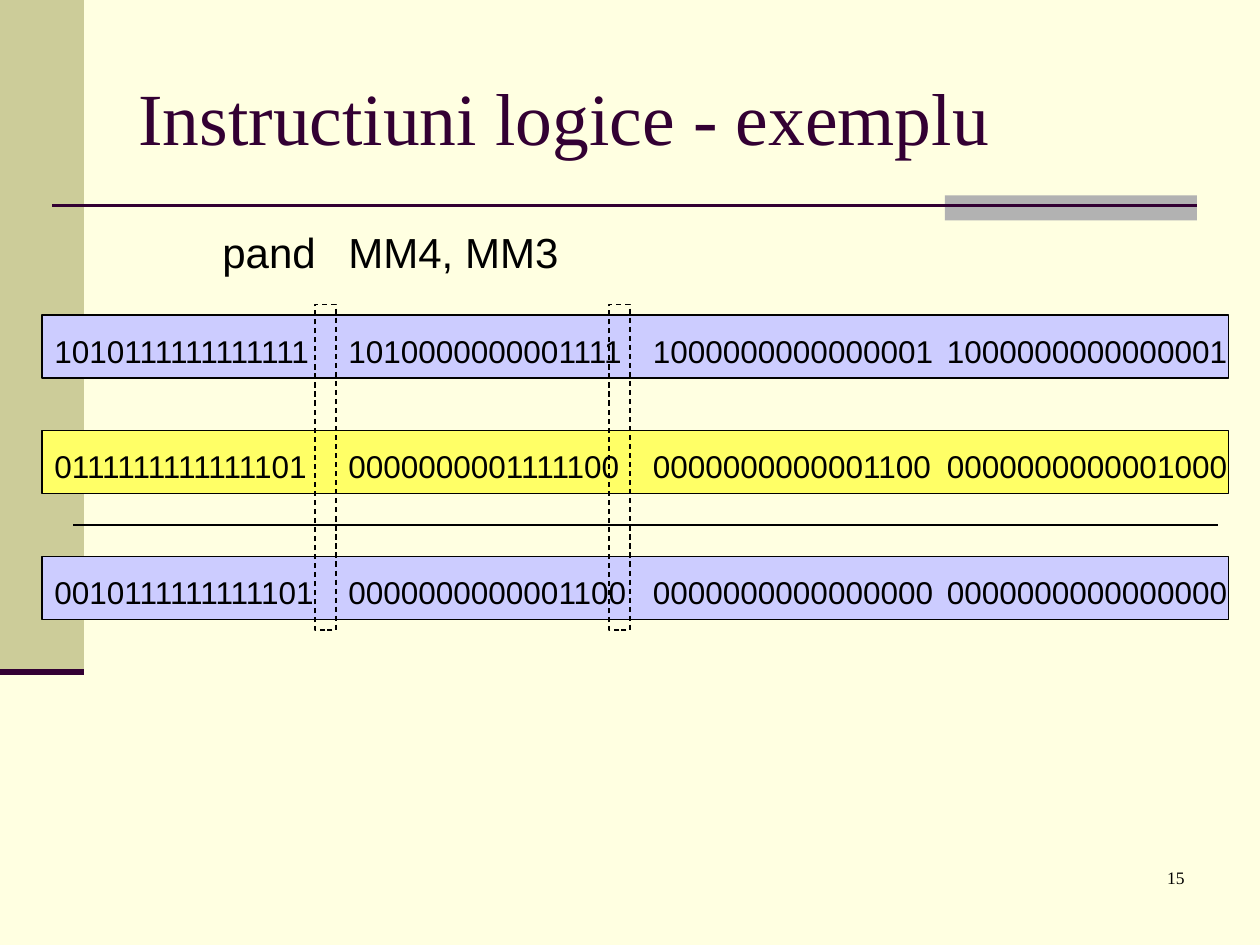
from dataclasses import dataclass
from typing import Optional

from pptx import Presentation
from pptx.dml.color import RGBColor
from pptx.enum.dml import MSO_LINE
from pptx.enum.shapes import MSO_CONNECTOR, MSO_SHAPE
from pptx.enum.text import MSO_ANCHOR, MSO_AUTO_SIZE, PP_ALIGN
from pptx.oxml.ns import qn
from pptx.util import Inches, Pt

COLUMNS_PER_INCH = 12
CREAM, OLIVE, GREY, PLUM, BLACK = "FFFFE1", "CCCC99", "B2B2B2", "330033", "000000"
LILAC, YELLOW = "CCCCFF", "FFFF66"
WORD_COLUMNS = (4, 32, 61, 89)


@dataclass(frozen=True)
class Area:
    column: float
    row: float
    columns: float
    rows: float


@dataclass(frozen=True)
class Block:
    area: Area
    fill: Optional[str] = None
    outline: Optional[str] = None
    dash: Optional[MSO_LINE] = None


@dataclass(frozen=True)
class Rule:
    start: tuple
    end: tuple
    color: str
    weight: float


@dataclass(frozen=True)
class Label:
    text: str
    area: Area
    size: float
    font: str = "Arial"
    color: str = BLACK
    space_before: float = 0
    alignment: PP_ALIGN = PP_ALIGN.LEFT
    anchor: MSO_ANCHOR = MSO_ANCHOR.TOP
    auto_size: MSO_AUTO_SIZE = MSO_AUTO_SIZE.NONE


@dataclass(frozen=True)
class Register:
    row: float
    fill: str
    words: tuple


REGISTERS = (
    Register(30, LILAC, ("1010111111111111", "1010000000001111",
                         "1000000000000001", "1000000000000001")),
    Register(41, YELLOW, ("0111111111111101", "0000000001111100",
                          "0000000000001100", "0000000000001000")),
    Register(53, LILAC, ("0010111111111101", "0000000000001100",
                         "0000000000000000", "0000000000000000")),
)
FRAME = (
    Block(Area(0, 0, 8, 64), OLIVE),
    Block(Area(90, 18.6, 24, 2.4), GREY),
)
FRAME_RULES = (
    Rule((5, 19.6), (114, 19.6), PLUM, 1.5),
    Rule((0, 64), (8, 64), PLUM, 3.5),
)
TITLE = Label("Instructiuni logice - exemplu", Area(12, 3.6, 102, 15), 42,
              "Times New Roman", PLUM, anchor=MSO_ANCHOR.MIDDLE)
INSTRUCTION = Label("pand\tMM4, MM3", Area(20, 21, 50, 6), 24, space_before=15,
                    auto_size=MSO_AUTO_SIZE.SHAPE_TO_FIT_TEXT)
RESULT_RULE = Rule((7, 50), (116, 50), BLACK, 0.75)
WORD_GAPS = tuple(Block(Area(column, 29, 2, 31), None, BLACK, MSO_LINE.DASH)
                  for column in (58, 30))
PAGE_NUMBER = Label("15", Area(89, 82, 25, 6), 10, "Times New Roman",
                    alignment=PP_ALIGN.RIGHT)


def grid(cells: float) -> int:
    """Turn grid cells into a slide length."""
    return Inches(cells / COLUMNS_PER_INCH)


def place(area: Area) -> tuple:
    """Return left, top, width and height of a grid area."""
    return tuple(map(grid, (area.column, area.row, area.columns, area.rows)))


def paint(color_format, color: str) -> None:
    """Apply a hex colour."""
    color_format.rgb = RGBColor.from_string(color)


def assign(target, values: dict) -> None:
    """Set attributes from format values."""
    for name, value in values.items():
        setattr(target, name, value)


def draw_block(slide, block: Block) -> None:
    """Draw a rectangle with optional fill and outline."""
    rectangle = slide.shapes.add_shape(MSO_SHAPE.RECTANGLE, *place(block.area))
    rectangle.shadow.inherit = False
    if block.fill:
        rectangle.fill.solid()
        paint(rectangle.fill.fore_color, block.fill)
    else:
        rectangle.fill.background()
    if block.outline:
        paint(rectangle.line.color, block.outline)
        assign(rectangle.line, {"width": Pt(0.75), "dash_style": block.dash})
    else:
        rectangle.line.fill.background()


def draw_rule(slide, rule: Rule) -> None:
    """Draw a straight line without shadow."""
    connector = slide.shapes.add_connector(
        MSO_CONNECTOR.STRAIGHT, *map(grid, rule.start + rule.end))
    paint(connector.line.color, rule.color)
    connector.line.width = Pt(rule.weight)
    properties = connector._element.spPr
    properties.append(properties.makeelement(qn("a:effectLst"), {}))


def draw_label(slide, label: Label) -> None:
    """Draw one line of text."""
    frame = slide.shapes.add_textbox(*place(label.area)).text_frame
    assign(frame, {"word_wrap": True, "vertical_anchor": label.anchor,
                   "auto_size": label.auto_size})
    paragraph = frame.paragraphs[0]
    assign(paragraph, {"alignment": label.alignment,
                       "space_before": Pt(label.space_before)})
    run = paragraph.add_run()
    run.text = label.text
    assign(run.font, {"name": label.font, "size": Pt(label.size)})
    paint(run.font.color, label.color)


def draw_register(slide, register: Register) -> None:
    """Draw a register bar with its four words."""
    draw_block(slide, Block(Area(4, register.row, 113, 6), register.fill, BLACK))
    for column, word in zip(WORD_COLUMNS, register.words):
        draw_label(slide, Label(word, Area(column, register.row + 1, 31, 4.8), 18,
                                space_before=11.2,
                                auto_size=MSO_AUTO_SIZE.SHAPE_TO_FIT_TEXT))


def main() -> None:
    """Build and save the slide."""
    presentation = Presentation()
    assign(presentation, {"slide_width": Inches(10), "slide_height": Inches(7.5)})
    slide = presentation.slides.add_slide(presentation.slide_layouts[6])
    slide.background.fill.solid()
    paint(slide.background.fill.fore_color, CREAM)
    for block in FRAME:
        draw_block(slide, block)
    for rule in FRAME_RULES:
        draw_rule(slide, rule)
    draw_label(slide, TITLE)
    draw_label(slide, INSTRUCTION)
    for register in REGISTERS:
        draw_register(slide, register)
    draw_rule(slide, RESULT_RULE)
    for gap in WORD_GAPS:
        draw_block(slide, gap)
    draw_label(slide, PAGE_NUMBER)
    presentation.save("out.pptx")


if __name__ == "__main__":
    main()
